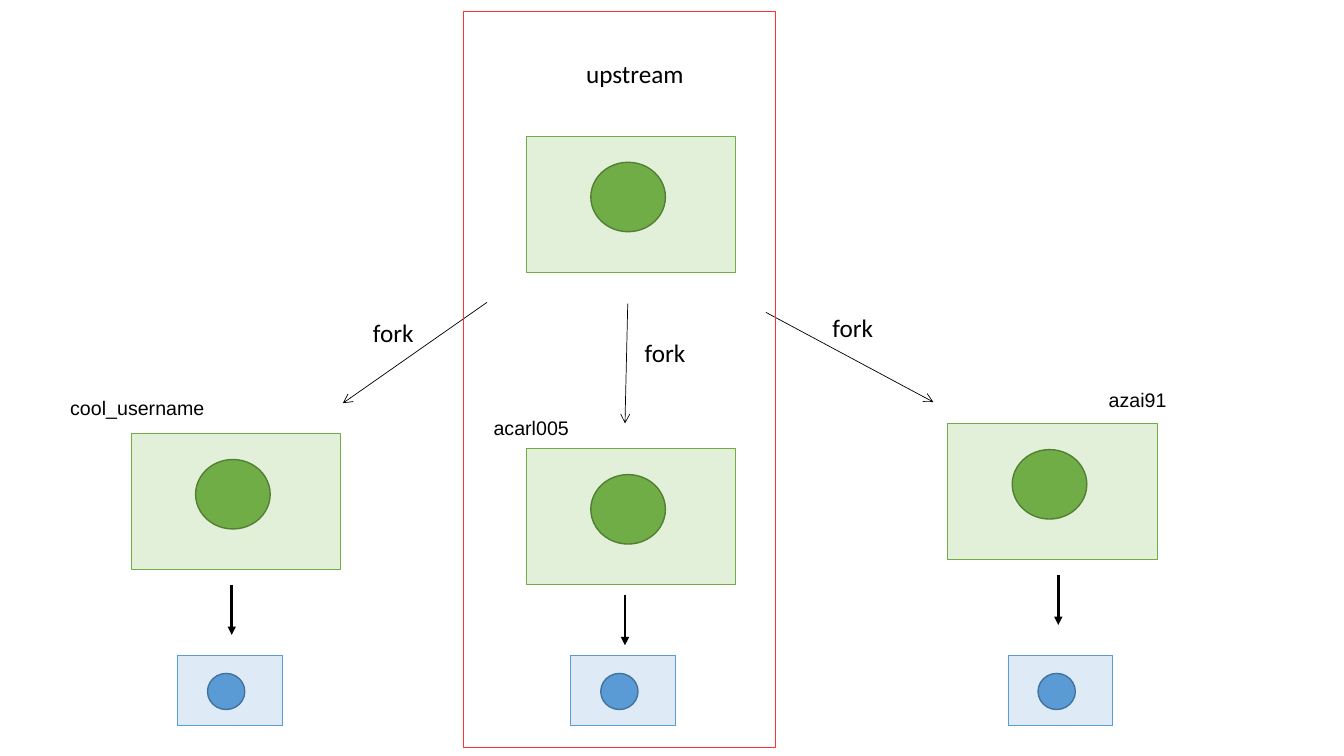
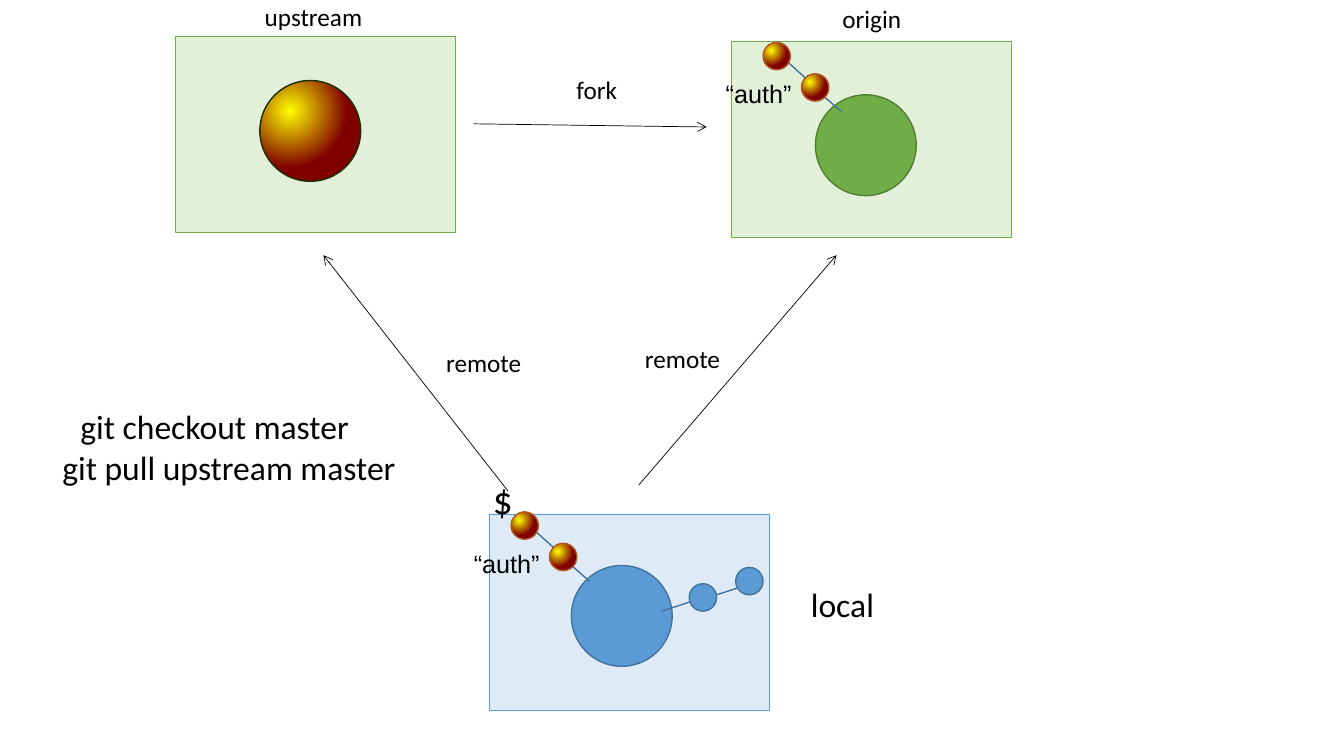
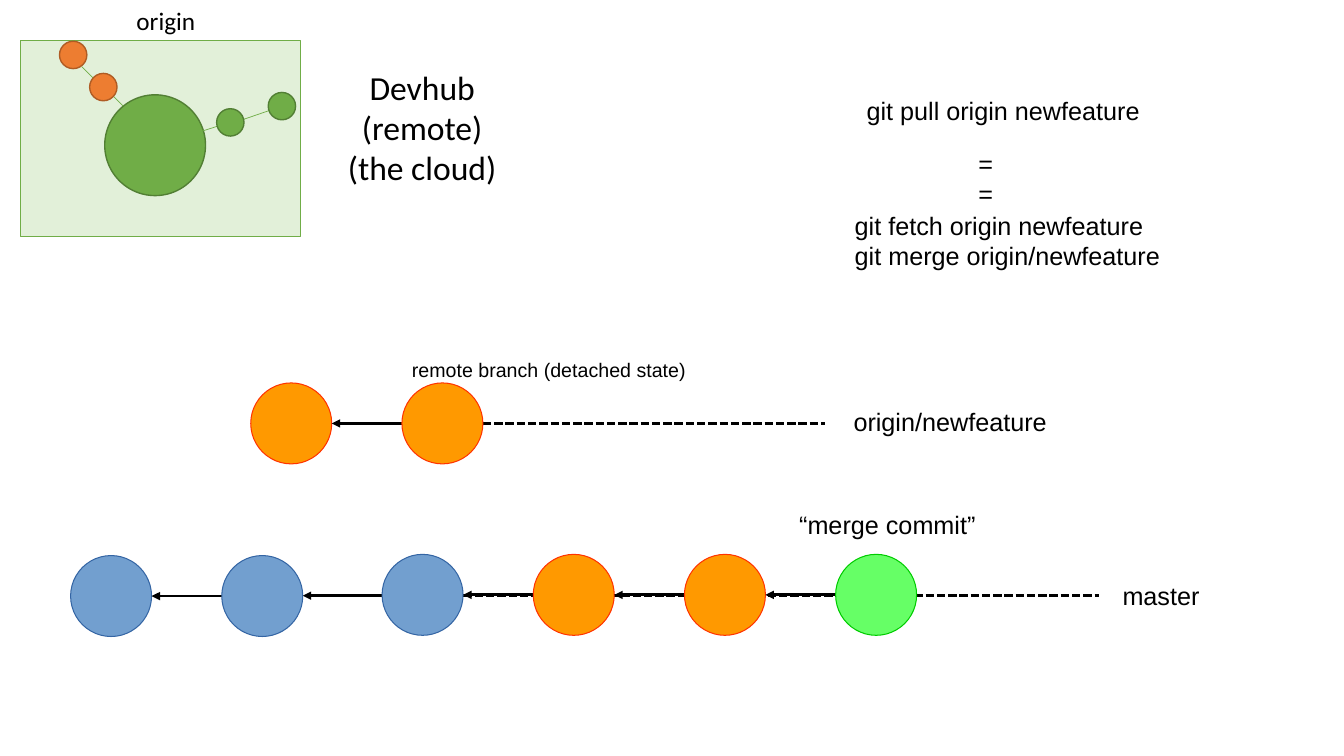
from dataclasses import dataclass

from lxml.etree import SubElement
from pptx import Presentation
from pptx.dml.color import RGBColor
from pptx.enum.dml import MSO_LINE_DASH_STYLE as DASH
from pptx.enum.shapes import MSO_CONNECTOR, MSO_SHAPE
from pptx.enum.text import PP_ALIGN
from pptx.oxml.ns import qn
from pptx.util import Cm, Pt


@dataclass(frozen=True)
class Paint:
    """Fill colour (a pair is a glow, None is no fill), outline colour and width."""
    fill: object
    line: str
    width: float = 1


@dataclass(frozen=True)
class Theme:
    text: str = "000000"
    label_font: str = "Calibri"
    note_font: str = "Arial"
    small: int = 14
    normal: int = 18
    large: int = 24
    prompt: int = 28
    thin: float = 0.5
    hairline: float = 0
    remote_box: Paint = Paint("E2F0D9", "70AD47", 0.5)
    local_box: Paint = Paint("DEEBF7", "5B9BD5", 0.5)
    remote_commit: Paint = Paint("70AD47", "527F34")
    local_commit: Paint = Paint("5B9BD5", "43729D")
    upstream_commit: Paint = Paint(("FFFF00", "800000"), "193300")
    auth_commit: Paint = Paint(("FFFF00", "800000"), "AF5C24")
    feature_dot: Paint = Paint("ED7D31", "AF5C24")
    master_commit: Paint = Paint("729FCF", "3465A4", 0)
    feature_commit: Paint = Paint("FF9900", "FF3300", 0)
    merge_commit: Paint = Paint("66FF66", "00CC00", 0)
    frame: Paint = Paint(None, "FF3333", 0)


THEME = Theme()

# All positions and sizes are centimetres.
FORK_BOX, FORK_COMMIT = (5.28, 3.43), (1.63, 0.66, 1.88, 1.75)
CLONE_BOX, CLONE_COMMIT = (2.64, 1.78), (0.76, 0.46, 0.94, 0.91)
REPO_BOX, REPO_COMMIT = (7.06, 4.95), 2.54
DOT = 0.69
CHAIN_COMMIT, CHAIN_PITCH = 2.04, 3.81

# Labels: text, centre, top, size. Notes: text, left, top, width, size.
FORKING = {
    "labels": [
        ("upstream", 16, 1.35, THEME.normal),
        ("fork", 21.49, 7.75, THEME.normal),
        ("fork", 16.76, 8.38, THEME.normal),
        ("fork", 9.91, 7.87, THEME.normal),
    ],
    "arrows": [
        (19.3, 7.87, 23.52, 10.13),
        (15.82, 7.65, 15.75, 10.67),
        (12.27, 7.62, 8.64, 10.16),
    ],
    "notes": [
        ("cool_username", 1.52, 9.86, 3.89, THEME.small),
        ("acarl005", 12.19, 10.36, 2.41, THEME.small),
        ("azai91", 27.69, 9.65, 1.96, THEME.small),
    ],
    "upstream": (13.26, 3.43),
    # fork corner, start of the clone arrow, left edge of the clone
    "forks": [
        ((3.3, 10.92), (5.84, 14.73), 4.47),
        ((13.26, 11.3), (15.75, 14.99), 14.38),
        ((23.88, 10.67), (26.67, 14.48), 25.4),
    ],
    "clone_top": 16.51,
    "clone_arrow": 1.27,
    "frame": (11.68, 0.3, 7.87, 18.54),
}

REMOTES = {
    "labels": [
        ("local", 21.23, 14.58, THEME.large),
        ("remote", 17.2, 8.53, THEME.normal),
        ("origin", 21.97, -0.05, THEME.normal),
        ("fork", 15.04, 1.75, THEME.normal),
        ("upstream", 7.9, -0.08, THEME.normal),
        ("remote", 12.19, 8.64, THEME.normal),
        ("$", 12.67, 11.84, THEME.prompt),
        ("git checkout master", 5.41, 10.11, THEME.large),
        ("git pull upstream master", 5.77, 11.13, THEME.large),
    ],
    "arrows": [
        (16.1, 12.22, 21.08, 6.43),
        (11.94, 3.12, 17.81, 3.2),
        (12.8, 12.37, 8.15, 6.43),
    ],
    "repositories": [
        ((12.34, 12.95), (14.4, 14.25), THEME.local_box, THEME.local_commit),
        ((18.42, 1.04), (20.55, 2.39), THEME.remote_box, THEME.remote_commit),
        ((4.42, 0.91), (6.55, 2.03), THEME.remote_box, THEME.upstream_commit),
    ],
    "auth_corners": [(12.88, 12.9), (19.23, 1.07)],
    "local_corner": (17.37, 14.71),
}

MERGING = {
    "labels": [
        ("Devhub\n(remote)\n(the cloud)", 10.64, 1.55, THEME.large),
        ("origin", 4.18, 0, THEME.normal),
    ],
    "notes": [
        ("git pull origin newfeature", 21.59, 2.29, 7.39, THEME.normal),
        ("==", 24.41, 3.61, 1.24, THEME.normal),
        ("git fetch origin newfeature\ngit merge origin/newfeature",
         21.29, 5.18, 8.2, THEME.normal),
        ("remote branch (detached state)", 10.13, 8.89, 7.42, THEME.small),
        ("origin/newfeature", 21.26, 10.11, 5.38, THEME.normal),
        ("“merge commit”", 19.89, 12.7, 4.95, THEME.normal),
        ("master", 28.04, 14.5, 2.44, THEME.normal),
    ],
    "repository": ((0.51, 1.02), (2.64, 2.39),
                   THEME.remote_box, THEME.remote_commit),
    "remote_corner": (5.46, 2.74),
    "feature_corner": (1.5, 1.04),
    "branch_ends": [(12.17, 10.67, 20.8, 10.67), (11.68, 15.01, 27.69, 15.01)],
    # left, top, commits of an evenly spaced run
    "runs": [
        (6.32, 9.65, [THEME.feature_commit] * 2),
        (1.78, 14, [THEME.master_commit] * 2),
        (9.63, 13.97, [THEME.master_commit, THEME.feature_commit,
                       THEME.feature_commit, THEME.merge_commit]),
    ],
    "run_link": (9.63, 15.01, 7.63, 15.01),
}

# Segments and dots, measured from the first dot's corner.
AUTH_BRANCH = ([(0.3, 0.2, 1.17, 0.99), (1.09, 0.97, 1.98, 1.75)],
               [(0, 0), (0.97, 0.79)])
LOCAL_BRANCH = ([(-0.69, 0.69, 0.25, 0.38), (0.28, 0.41, 1.24, 0.1)],
                [(0, 0), (1.17, -0.41)])
REMOTE_BRANCH = ([(-0.51, 0.61, 0.46, 0.3), (0.41, 0.36, 1.37, 0.03)],
                 [(0, 0), (1.3, -0.41)])
FEATURE_BRANCH = ([(0.56, 0.64, 1.04, 1.12), (1.14, 1.17, 1.6, 1.63)],
                  [(0, 0), (0.76, 0.81)])


def add_text(slide, text, left, top, width, *, size, font=THEME.label_font,
             align=PP_ALIGN.CENTER, wrap=True):
    lines = text.count("\n") + 1
    height = Pt(size * 1.2 * lines) + Cm(0.25)
    box = slide.shapes.add_textbox(Cm(left), Cm(top), Cm(width), height)
    frame = box.text_frame
    frame.word_wrap = wrap
    frame.text = text
    for paragraph in frame.paragraphs:
        paragraph.alignment = align
        run_font = paragraph.runs[0].font
        run_font.name, run_font.size = font, Pt(size)
        run_font.color.rgb = RGBColor.from_string(THEME.text)


def add_labels(slide, labels):
    for text, centre, top, size in labels:
        width = min(10.8, 2 * centre)
        add_text(slide, text, centre - width / 2, top, width, size=size)


def add_notes(slide, notes):
    for text, left, top, width, size in notes:
        add_text(slide, text, left, top, width, size=size,
                 font=THEME.note_font, align=PP_ALIGN.LEFT, wrap=False)


def fill_glow(shape, inner, outer):
    """Fill with a circular gradient lit from the upper left."""
    shape.fill.gradient()
    stops = zip(shape.fill.gradient_stops, (0, 0.8), (inner, outer))
    for stop, position, colour in stops:
        stop.position = position
        stop.color.rgb = RGBColor.from_string(colour)
    gradient = shape._element.spPr.find(qn("a:gradFill"))
    gradient.remove(gradient.find(qn("a:lin")))
    circle = SubElement(gradient, qn("a:path"), {"path": "circle"})
    SubElement(circle, qn("a:fillToRect"),
               {"l": "30000", "t": "30000", "r": "70000", "b": "70000"})


def add_shape(slide, kind, left, top, width, height, paint):
    shape = slide.shapes.add_shape(kind, Cm(left), Cm(top), Cm(width), Cm(height))
    shape.shadow.inherit = False
    if paint.fill is None:
        shape.fill.background()
    elif isinstance(paint.fill, tuple):
        fill_glow(shape, *paint.fill)
    else:
        shape.fill.solid()
        shape.fill.fore_color.rgb = RGBColor.from_string(paint.fill)
    shape.line.color.rgb = RGBColor.from_string(paint.line)
    shape.line.width = Pt(paint.width)


def add_box(slide, left, top, width, height, paint):
    add_shape(slide, MSO_SHAPE.RECTANGLE, left, top, width, height, paint)


def add_commit(slide, left, top, width, height, paint):
    add_shape(slide, MSO_SHAPE.OVAL, left, top, width, height, paint)


def add_line(slide, ends, *, colour=THEME.text, width=THEME.hairline,
             head=None, dashed=False):
    connector = slide.shapes.add_connector(
        MSO_CONNECTOR.STRAIGHT, *(Cm(value) for value in ends))
    connector.line.color.rgb = RGBColor.from_string(colour)
    connector.line.width = Pt(width)
    if dashed:
        connector.line.dash_style = DASH.SQUARE_DOT
        preset = connector.line._ln.find(qn("a:prstDash"))
        preset.set("val", "sysDash")
    if head:
        SubElement(connector.line._ln, qn("a:tailEnd"), {"type": head})
    SubElement(connector._element.spPr, qn("a:effectLst"))


def add_arrows(slide, arrows):
    for ends in arrows:
        add_line(slide, ends, width=THEME.thin, head="arrow")


def add_nested(slide, corner, box_size, commit, box_paint, commit_paint):
    """A box with one commit, placed from the box's corner."""
    left, top = corner
    inset_x, inset_y, width, height = commit
    add_box(slide, left, top, *box_size, box_paint)
    add_commit(slide, left + inset_x, top + inset_y, width, height, commit_paint)


def add_repository(slide, corner, commit_corner, box_paint, commit_paint):
    add_box(slide, *corner, *REPO_BOX, box_paint)
    add_commit(slide, *commit_corner, REPO_COMMIT, REPO_COMMIT, commit_paint)


def add_branch(slide, corner, branch, paint, colour, width=1):
    segments, dots = branch
    left, top = corner
    for x1, y1, x2, y2 in segments:
        add_line(slide, (left + x1, top + y1, left + x2, top + y2),
                 colour=colour, width=width)
    for x, y in dots:
        add_commit(slide, left + x, top + y, DOT, DOT, paint)


def add_run(slide, left, top, paints):
    """Equally spaced commits, each pointing back to the one before."""
    middle = top + CHAIN_COMMIT / 2
    for index, paint in enumerate(paints):
        x = left + index * CHAIN_PITCH
        if index:
            previous_edge = x - CHAIN_PITCH + CHAIN_COMMIT
            add_line(slide, (x, middle, previous_edge, middle), head="triangle")
        add_commit(slide, x, top, CHAIN_COMMIT, CHAIN_COMMIT, paint)


def build_forking(slide, content):
    add_nested(slide, content["upstream"], FORK_BOX, FORK_COMMIT,
               THEME.remote_box, THEME.remote_commit)
    for corner, (x, y), clone_left in content["forks"]:
        add_nested(slide, corner, FORK_BOX, FORK_COMMIT,
                   THEME.remote_box, THEME.remote_commit)
        add_line(slide, (x, y, x, y + content["clone_arrow"]), head="triangle")
        add_nested(slide, (clone_left, content["clone_top"]), CLONE_BOX,
                   CLONE_COMMIT, THEME.local_box, THEME.local_commit)
    add_arrows(slide, content["arrows"])
    add_labels(slide, content["labels"])
    add_notes(slide, content["notes"])
    add_box(slide, *content["frame"], THEME.frame)


def build_remotes(slide, content):
    for repository in content["repositories"]:
        add_repository(slide, *repository)
    add_branch(slide, content["local_corner"], LOCAL_BRANCH,
               THEME.local_commit, THEME.local_commit.line)
    add_arrows(slide, content["arrows"])
    for left, top in content["auth_corners"]:
        add_branch(slide, (left, top), AUTH_BRANCH,
                   THEME.auth_commit, THEME.local_commit.line)
        add_notes(slide, [("“auth”", left - 1.19, top + 0.79, 2.16, THEME.normal)])
    add_labels(slide, content["labels"])


def build_merging(slide, content):
    add_repository(slide, *content["repository"])
    for corner, branch, paint in (
            (content["remote_corner"], REMOTE_BRANCH, THEME.remote_commit),
            (content["feature_corner"], FEATURE_BRANCH, THEME.feature_dot)):
        add_branch(slide, corner, branch, paint,
                   THEME.remote_box.line, THEME.thin)
    for ends in content["branch_ends"]:
        add_line(slide, ends, dashed=True)
    add_line(slide, content["run_link"], head="triangle")
    for run in content["runs"]:
        add_run(slide, *run)
    add_labels(slide, content["labels"])
    add_notes(slide, content["notes"])


def main():
    presentation = Presentation()
    presentation.slide_width, presentation.slide_height = Cm(33.87), Cm(19.05)
    blank = presentation.slide_layouts[6]
    for build, content in ((build_forking, FORKING), (build_remotes, REMOTES),
                           (build_merging, MERGING)):
        build(presentation.slides.add_slide(blank), content)
    presentation.save("out.pptx")


if __name__ == "__main__":
    main()
